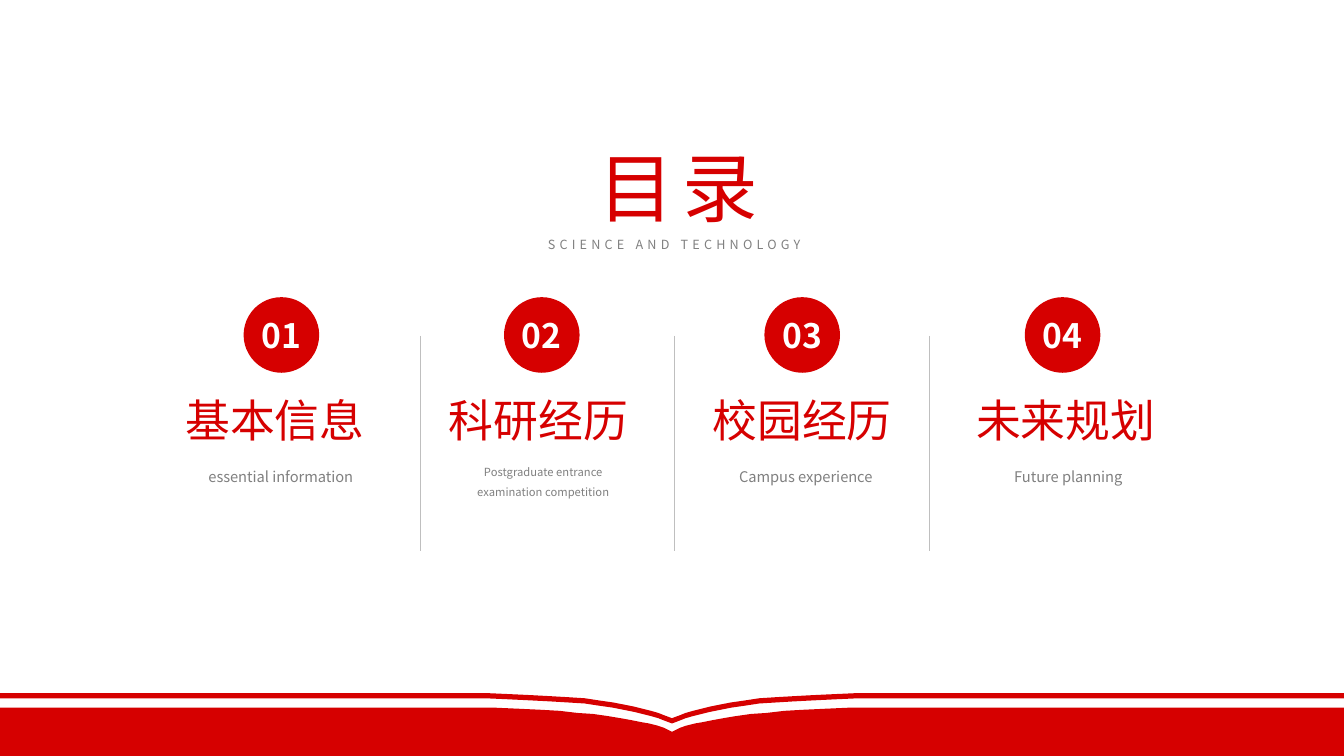
from pptx import Presentation
from pptx.dml.color import RGBColor
from pptx.enum.shapes import MSO_CONNECTOR as Connector, MSO_SHAPE as Shape
from pptx.enum.text import MSO_ANCHOR as Anchor, MSO_AUTO_SIZE as AutoSize, PP_ALIGN as Align
from pptx.oxml.ns import qn
from pptx.util import Pt
from lxml.etree import SubElement

PX = 9525  # EMU per pixel, 96 px to the inch
WIDTH, HEIGHT = 1280, 720
FONT = "Noto Sans CJK SC"
COLORS = {"red": "D60000", "gray": "808080", "rule": "BFBFBF", "white": "FFFFFF"}

SECTIONS = [  # number, heading, caption, caption size
    ("01", "基本信息", "essential information", 10.5),
    ("02", "科研经历", "Postgraduate entrance examination competition", 8),
    ("03", "校园经历", "Campus experience", 10.5),
    ("04", "未来规划", "Future planning", 10.5),
]

# Left half of each page edge, as x and y from the top left of the book
STRIPE_EDGE = [(0, 0), (462, 0), (484, 1), (505, 2), (524, 3), (541, 4), (557, 5),
               (570, 7), (584, 9), (594, 11), (604, 13), (612, 15), (620, 17),
               (627, 19), (632, 21), (640, 24)]
PAGE_EDGE = [(0, 14), (472, 14), (494, 15), (515, 16), (533, 17), (550, 19), (565, 20),
             (579, 22), (591, 24), (602, 26), (612, 28), (618, 29), (626, 31),
             (632, 33), (640, 37)]
STRIPE_THICKNESS = 5


def color(name):
    return RGBColor.from_string(COLORS[name])


def emu(*lengths):
    return [length * PX for length in lengths]


def paint(shape, name):
    shape.shadow.inherit = False
    shape.fill.solid()
    shape.fill.fore_color.rgb = color(name)
    shape.line.fill.background()


def write(shape, text, size, name, bold=False, tracking=0, spacing=1.0, inset=None,
          anchor=Anchor.TOP):
    frame = shape.text_frame
    frame.word_wrap = True
    frame.auto_size = AutoSize.NONE
    frame.vertical_anchor = anchor
    if inset is not None:
        frame.margin_left = frame.margin_right = inset * PX
        frame.margin_top = frame.margin_bottom = inset * PX
    paragraph = frame.paragraphs[0]
    paragraph.alignment = Align.CENTER
    paragraph.line_spacing = spacing
    paragraph.space_before = Pt(0)
    run = paragraph.add_run()
    run.text = text
    font = run.font
    font.name, font.size, font.bold = FONT, Pt(size), bold
    font.color.rgb = color(name)
    properties = run._r.get_or_add_rPr()
    if tracking:
        properties.set("spc", str(tracking * 100))
    SubElement(properties, qn("a:ea")).set("typeface", FONT)


def place(shape, left, top, width, height):
    shape.left, shape.top, shape.width, shape.height = emu(left, top, width, height)


def add_outline(slide, points, left, top):
    points = [(left + x, top + y) for x, y in points]
    builder = slide.shapes.build_freeform(*points[0], scale=PX)
    builder.add_line_segments(points[1:], close=True)
    paint(builder.convert_to_shape(), "red")


def add_book(slide, left, top, width, height):
    def spread(edge):
        return edge + [(width - x, y) for x, y in reversed(edge[:-1])]

    # Thin stripe, then the solid pages
    stripe = spread(STRIPE_EDGE)
    underside = [(x, y + STRIPE_THICKNESS) for x, y in reversed(stripe)]
    add_outline(slide, stripe + underside, left, top)
    add_outline(slide, spread(PAGE_EDGE) + [(width, height), (0, height)], left, top)


def add_titles(slide, left, top, width):
    title, subtitle = slide.shapes.title, slide.placeholders[1]
    place(title, left + 51, top, width - 94, 97)
    write(title, "目录", 54, "red", tracking=6)
    place(subtitle, left, top + 92, width, 24)
    write(subtitle, "SCIENCE AND TECHNOLOGY", 9, "gray", tracking=3)


def add_section(slide, index, left, top):
    number, heading, caption, caption_size = SECTIONS[index]
    shapes = slide.shapes
    # Number badge
    badge = shapes.add_shape(Shape.OVAL, *emu(left + 81 + 248 * index, top, 72, 72))
    paint(badge, "red")
    write(badge, number, 24, "white", bold=True, inset=0, anchor=Anchor.MIDDLE)
    # Heading and caption
    box = shapes.add_textbox(*emu(left + 251 * index, top + 86, 222, 61))
    write(box, heading, 32, "red")
    box = shapes.add_textbox(*emu(left + 38 + 250 * index, top + 154, 157, 38))
    write(box, caption, caption_size, "gray", spacing=1.5, inset=0)


def add_divider(slide, x, top, height):
    line = slide.shapes.add_connector(Connector.STRAIGHT, *emu(x, top, x, top + height))
    line.line.color.rgb = color("rule")
    line.line.width = Pt(0.5)
    SubElement(line._element.spPr, qn("a:effectLst"))


def add_agenda(slide, left, top):
    for index in range(len(SECTIONS)):
        add_section(slide, index, left, top)
    for index in range(len(SECTIONS) - 1):
        add_divider(slide, left + 249 + 485 * index // 2, top + 37, 205)


def main():
    presentation = Presentation()
    presentation.slide_width, presentation.slide_height = emu(WIDTH, HEIGHT)
    slide = presentation.slides.add_slide(presentation.slide_layouts[0])
    add_book(slide, 0, 660, WIDTH, 60)
    add_titles(slide, 503, 129, 278)
    add_agenda(slide, 151, 283)
    presentation.save("out.pptx")


if __name__ == "__main__":
    main()
